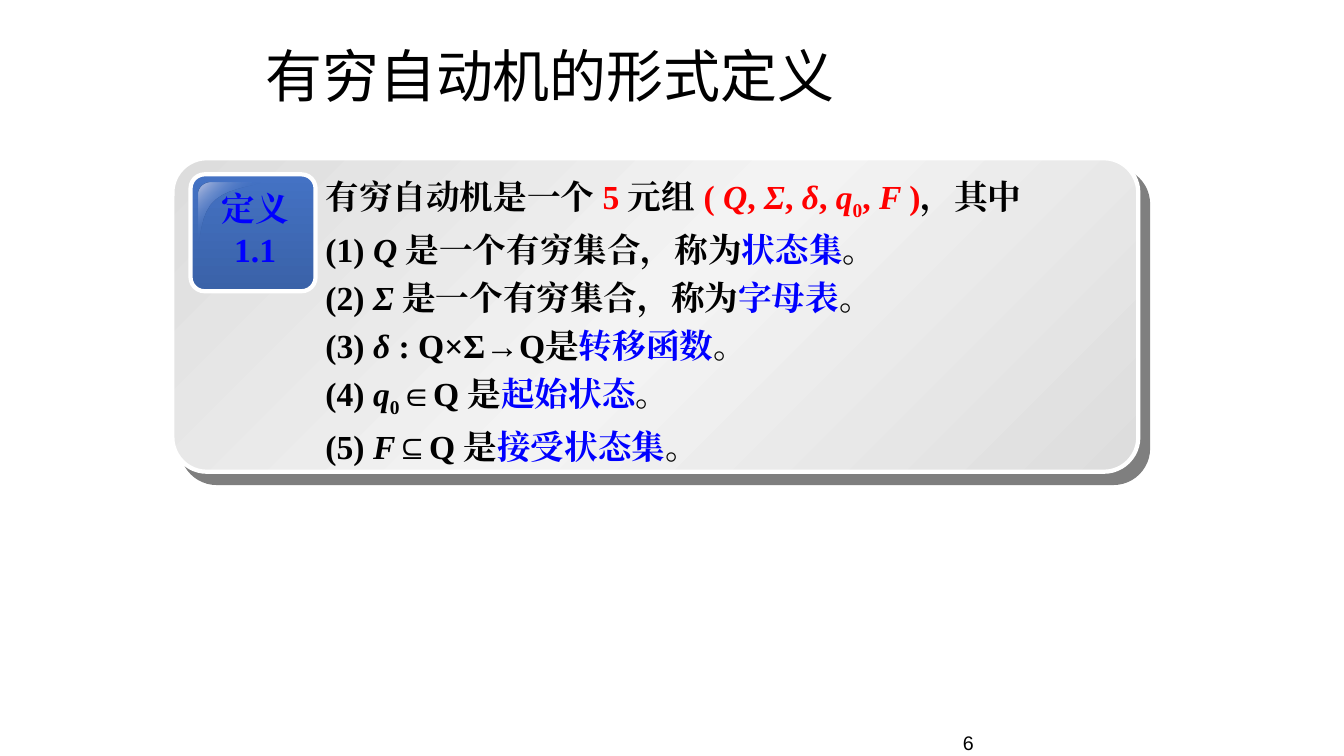
from lxml import etree
from pptx import Presentation
from pptx.dml.color import RGBColor
from pptx.enum.shapes import MSO_SHAPE
from pptx.enum.text import MSO_ANCHOR, PP_ALIGN
from pptx.oxml.ns import qn
from pptx.util import Pt

PX = 9144  # 100 px to the inch
ROUNDED = MSO_SHAPE.ROUNDED_RECTANGLE
MIDDLE, TOP = MSO_ANCHOR.MIDDLE, MSO_ANCHOR.TOP
CENTER, LEFT = PP_ALIGN.CENTER, PP_ALIGN.LEFT
THEME = {
    "black": "000000", "red": "FF0000", "blue": "0000FF", "white": "FFFFFF",
    "panel": [(0, "DDDDDD", 100), (50, "F3F3F3", 100), (100, "DDDDDD", 100)],
    "badge": [(0, "4472C4", 100), (100, "3A62A8", 100)],
    "gloss": [(0, "B9C3E1", 100), (50, "4472C4", 0), (100, "B9C3E1", 100)],
    "title_size": 40.7, "body_size": 24, "number_size": 14,
    "title_font": "Noto Sans CJK SC", "body_font": "Times New Roman", "number_font": "Arial",
}


def fill_gradient(shape, stops, angle):
    """Fill with (position %, colour, opacity %) stops, angle clockwise in degrees."""
    shape.shadow.inherit = False
    shape.fill.gradient()
    gradient = shape._element.spPr.find(qn("a:gradFill"))
    stop_list = gradient.find(qn("a:gsLst"))
    for old_stop in list(stop_list):
        stop_list.remove(old_stop)
    for position, colour, opacity in stops:
        stop = etree.SubElement(stop_list, qn("a:gs"), pos=str(position * 1000))
        rgb = etree.SubElement(stop, qn("a:srgbClr"), val=colour)
        if opacity < 100:
            etree.SubElement(rgb, qn("a:alpha"), val=str(opacity * 1000))
    gradient.find(qn("a:lin")).set("ang", str(angle * 60000))


def write_runs(paragraph, pieces, role, bold=False):
    """Write (text, marks) pieces; marks: r red, b blue, i italic, s subscript."""
    for text, marks in pieces:
        run = paragraph.add_run()
        run.text = text
        font = run.font
        font.name = THEME[role + "_font"]
        font.size = Pt(THEME[role + "_size"])
        font.bold = bold
        font.italic = "i" in marks
        colour = "red" if "r" in marks else "blue" if "b" in marks else "black"
        font.color.rgb = RGBColor.from_string(THEME[colour])
        properties = run._r.get_or_add_rPr()
        etree.SubElement(properties, qn("a:ea"), typeface=font.name)
        if "s" in marks:
            properties.set("baseline", "-25000")


prs = Presentation()
prs.slide_width, prs.slide_height = 1333 * PX, 750 * PX
slide = prs.slides.add_slide(prs.slide_layouts[5])
shapes = slide.shapes

# Title
title = shapes.title
title.left, title.top, title.width, title.height = [v * PX for v in (253, 46, 853, 69)]
title.text_frame.vertical_anchor = MIDDLE
title_line = title.text_frame.paragraphs[0]
title_line.alignment = LEFT
title_line.line_spacing = 0.8
write_runs(title_line, [("有穷自动机的形式定义", "")], "title")

# Panel and badge
for box, corner, stops, angle in [
    ((171, 157, 958, 311), 0.11, THEME["panel"], 45),
    ((189, 173, 124, 116), 0.12, THEME["badge"], 90),
]:
    card = shapes.add_shape(ROUNDED, *[v * PX for v in box])
    card.adjustments[0] = corner
    fill_gradient(card, stops, angle)
    card.line.color.rgb = RGBColor.from_string(THEME["white"])
    card.line.width = Pt(3)
    if stops is THEME["panel"]:
        effects = card._element.spPr.find(qn("a:effectLst"))
        shadow = etree.SubElement(effects, qn("a:outerShdw"), blurRad="0", dist=str(Pt(10.6)),
                                  dir=str(49 * 60000), algn="ctr", rotWithShape="0")
        shadow_colour = etree.SubElement(shadow, qn("a:srgbClr"), val=THEME["black"])
        etree.SubElement(shadow_colour, qn("a:alpha"), val="50000")

# Gloss in the badge corner, its Bezier curves sampled in eighths
gloss_curves = [
    [(209, 181), (203, 181), (197, 186), (197, 192)],
    [(197, 238), (200, 239), (198, 211), (214, 198)],
    [(214, 198), (229, 185), (259, 184), (258, 181)],
]
outline = []
for curve in gloss_curves:
    for step in range(9):
        t = step / 8
        weights = ((1 - t) ** 3, 3 * t * (1 - t) ** 2, 3 * t * t * (1 - t), t ** 3)
        outline.append([round(PX * sum(w * p[axis] for w, p in zip(weights, curve)))
                        for axis in (0, 1)])
builder = shapes.build_freeform(*outline[0])
builder.add_line_segments(outline[1:], close=True)
gloss = builder.convert_to_shape()
fill_gradient(gloss, THEME["gloss"], 45)
gloss.line.fill.background()

# Texts
badge_lines = [[("定义", "b")], [("1.1", "b")]]
definition_lines = [
    [("有穷自动机是一个 ", ""), ("5", "r"), (" 元组 ", ""), ("( ", "r"), ("Q", "ri"), (", ", "r"),
     ("Σ", "ri"), (", ", "r"), ("δ", "ri"), (", ", "r"), ("q", "ri"), ("0", "rs"), (", ", "r"),
     ("F ", "ri"), (")", "r"), ("，其中", "")],
    [("(1) ", ""), ("Q ", "i"), ("是一个有穷集合，称为", ""), ("状态集", "b"), ("。", "")],
    [("(2) ", ""), ("Σ", "i"), (" 是一个有穷集合，称为", ""), ("字母表", "b"), ("。", "")],
    [("(3) ", ""), ("δ ", "i"), (": Q×Σ→Q是", ""), ("转移函数", "b"), ("。", "")],
    [("(4) ", ""), ("q", "i"), ("0", "s"), ("∈Q 是", ""), ("起始状态", "b"), ("。", "")],
    [("(5) ", ""), ("F", "i"), ("⊆Q 是", ""), ("接受状态集", "b"), ("。", "")],
]
for box, lines, role, alignment, anchor, spacing, before in [
    ((206, 182, 94, 90), badge_lines, "body", CENTER, TOP, 1.0, 0),
    ((313, 165, 800, 294), definition_lines, "body", LEFT, TOP, 1.1, 2.4),
    ((844, 711, 233, 52), [[("6", "")]], "number", CENTER, MIDDLE, 1.0, 0),
]:
    frame = shapes.add_textbox(*[v * PX for v in box]).text_frame
    frame.word_wrap = True
    frame.vertical_anchor = anchor
    for index, pieces in enumerate(lines):
        paragraph = frame.add_paragraph() if index else frame.paragraphs[0]
        paragraph.alignment = alignment
        paragraph.line_spacing = spacing
        paragraph.space_before = Pt(before)
        write_runs(paragraph, pieces, role, bold=role == "body")

prs.save("out.pptx")
